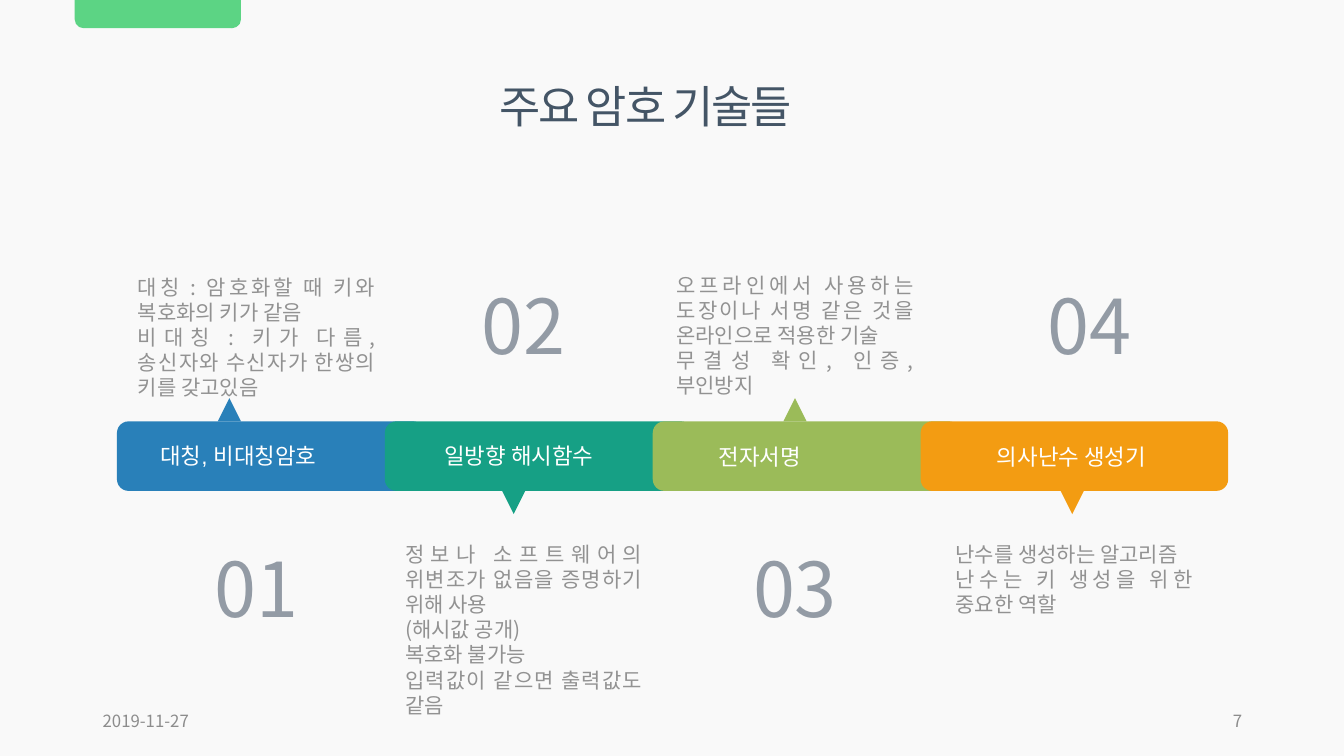
from dataclasses import dataclass

import pptx
import pptx.dml.color
import pptx.enum.shapes
import pptx.enum.text
import pptx.oxml
import pptx.oxml.ns
import pptx.presentation
import pptx.shapes.autoshape
import pptx.slide
import pptx.text.text
import pptx.util

Inches = pptx.util.Inches
RGBColor = pptx.dml.color.RGBColor
Align = pptx.enum.text.PP_ALIGN
Anchor = pptx.enum.text.MSO_ANCHOR
Preset = pptx.enum.shapes.MSO_SHAPE

BACKGROUND = RGBColor(0xF9, 0xF9, 0xF9)
BLUE = RGBColor(0x29, 0x80, 0xB9)
TEAL = RGBColor(0x16, 0xA0, 0x85)
OLIVE = RGBColor(0x9B, 0xBB, 0x59)
ORANGE = RGBColor(0xF3, 0x9C, 0x12)
TAB_GREEN = RGBColor(0x5C, 0xD4, 0x84)
TITLE_SLATE = RGBColor(0x44, 0x55, 0x66)
BODY_GRAY = RGBColor(0x92, 0x92, 0x92)
NUMBER_GRAY = RGBColor(0x93, 0x9B, 0xA5)
FOOTER_GRAY = RGBColor(0x8C, 0x8C, 0x8C)
WHITE = RGBColor(0xFF, 0xFF, 0xFF)

KOREAN_FONT = "Noto Sans CJK KR"
LABEL_FONT = "Arial"
BAR_LEFT, BAR_TOP, BAR_WIDTH, BAR_HEIGHT, BAR_STEP = 1.16, 4.18, 3.05, 0.69, 2.657
POINTER_SIZE = 0.23
COLUMN_WIDTH = 2.55


@dataclass(frozen=True)
class TextStyle:
    size: float
    color: RGBColor
    font: str = KOREAN_FONT
    align: Align = Align.LEFT
    anchor: Anchor = Anchor.TOP


@dataclass(frozen=True)
class Technique:
    label: str
    label_left: float
    label_top: float
    color: RGBColor
    pointer_left: float
    points_up: bool
    number_left: float
    text_left: float
    text_top: float
    text_height: float
    lines: tuple[str, ...]


TITLE = TextStyle(32, TITLE_SLATE, align=Align.CENTER)
BODY = TextStyle(15, BODY_GRAY, align=Align.JUSTIFY)
NUMBER = TextStyle(54, NUMBER_GRAY, align=Align.CENTER)
LABEL = TextStyle(16, WHITE, LABEL_FONT)
DATE = TextStyle(12, FOOTER_GRAY, anchor=Anchor.MIDDLE)
PAGE_NUMBER = TextStyle(12, FOOTER_GRAY, align=Align.RIGHT, anchor=Anchor.MIDDLE)

TECHNIQUES = (
    Technique("대칭, 비대칭암호", 1.49, 4.34, BLUE, 2.16, True, 1.27, 1.27, 2.67, 1.36,
              ("대칭 : 암호화할 때 키와 복호화의 키가 같음",
               "비대칭 : 키가 다름, 송신자와 수신자가 한쌍의 키를 갖고있음")),
    Technique("일방향 해시함수", 4.31, 4.34, TEAL, 4.98, False, 3.92, 3.92, 5.32, 1.87,
              ("정보나 소프트웨어의 위변조가 없음을 증명하기 위해 사용",
               "(해시값 공개)", "복호화 불가능", "입력값이 같으면 출력값도 같음")),
    Technique("전자서명", 7.03, 4.35, OLIVE, 7.77, True, 6.61, 6.61, 2.65, 1.36,
              ("오프라인에서 사용하는 도장이나 서명 같은 것을 온라인으로 적용한 기술",
               "무결성 확인, 인증, 부인방지")),
    Technique("의사난수 생성기", 9.79, 4.35, ORANGE, 10.52, False, 9.53, 9.38, 5.32, 1.11,
              ("난수를 생성하는 알고리즘", "난수는 키 생성을 위한 중요한 역할")),
)


def write(frame: pptx.text.text.TextFrame, lines: tuple[str, ...], style: TextStyle) -> None:
    frame.word_wrap = True
    frame.auto_size = pptx.enum.text.MSO_AUTO_SIZE.NONE
    frame.vertical_anchor = style.anchor
    for index, line in enumerate(lines):
        para = frame.add_paragraph() if index else frame.paragraphs[0]
        para.alignment = style.align
        span = para.add_run()
        span.text = line
        span.font.size = pptx.util.Pt(style.size)
        span.font.name = style.font
        span.font.color.rgb = style.color
        east_asian = pptx.oxml.parse_xml(
            f'<a:ea {pptx.oxml.ns.nsdecls("a")} typeface="{KOREAN_FONT}"/>')
        span.font._element.find(pptx.oxml.ns.qn("a:latin")).addnext(east_asian)


def add_text(page: pptx.slide.Slide, left: float, top: float, width: float, height: float,
             lines: tuple[str, ...], style: TextStyle) -> None:
    box = page.shapes.add_textbox(Inches(left), Inches(top), Inches(width), Inches(height))
    write(box.text_frame, lines, style)


def add_block(page: pptx.slide.Slide, preset: Preset, left: float, top: float, width: float,
              height: float, color: RGBColor) -> pptx.shapes.autoshape.Shape:
    """Draw a flat filled shape without outline or shadow."""
    block = page.shapes.add_shape(preset, Inches(left), Inches(top), Inches(width), Inches(height))
    block.shadow.inherit = False
    block.fill.solid()
    block.fill.fore_color.rgb = color
    block.line.fill.background()
    return block


def add_title(page: pptx.slide.Slide) -> None:
    title = page.shapes.title
    title.left, title.top = Inches(4.43), Inches(0.73)
    title.width, title.height = Inches(3.95), Inches(0.64)
    write(title.text_frame, ("주요 암호 기술들",), TITLE)
    title.text_frame.paragraphs[0].runs[0].font._element.set("spc", "-150")


def add_pointer(page: pptx.slide.Slide, technique: Technique) -> None:
    top = BAR_TOP - POINTER_SIZE if technique.points_up else BAR_TOP + BAR_HEIGHT
    pointer = add_block(page, Preset.ISOSCELES_TRIANGLE, technique.pointer_left, top,
                        POINTER_SIZE, POINTER_SIZE, technique.color)
    pointer.rotation = 0 if technique.points_up else 180


def add_technique_text(page: pptx.slide.Slide, order: int, technique: Technique) -> None:
    add_text(page, technique.text_left, technique.text_top, COLUMN_WIDTH,
             technique.text_height, technique.lines, BODY)
    number_top = 5.33 if technique.points_up else 2.72
    add_text(page, technique.number_left, number_top, COLUMN_WIDTH, 1.01,
             (f"{order:02}",), NUMBER)
    add_text(page, technique.label_left, technique.label_top, 2.36, 0.37,
             (technique.label,), LABEL)


def main() -> None:
    deck = pptx.Presentation()
    deck.slide_width, deck.slide_height = Inches(13.33), Inches(7.5)
    page = deck.slides.add_slide(deck.slide_layouts.get_by_name("Title Only"))
    page.background.fill.solid()
    page.background.fill.fore_color.rgb = BACKGROUND

    tab = add_block(page, Preset.ROUND_2_SAME_RECTANGLE, 0.74, 0, 1.65, 0.28, TAB_GREEN)
    tab.rotation = 180
    tab.adjustments[0] = 0.32
    add_title(page)
    for index, technique in enumerate(TECHNIQUES):
        add_block(page, Preset.ROUNDED_RECTANGLE, BAR_LEFT + index * BAR_STEP, BAR_TOP,
                  BAR_WIDTH, BAR_HEIGHT, technique.color)
    for order, technique in enumerate(TECHNIQUES, start=1):
        add_pointer(page, technique)
        add_technique_text(page, order, technique)
    add_text(page, 0.92, 6.95, 3, 0.4, ("2019-11-27",), DATE)
    add_text(page, 9.42, 6.95, 3, 0.4, ("7",), PAGE_NUMBER)
    deck.save("out.pptx")


if __name__ == "__main__":
    main()
